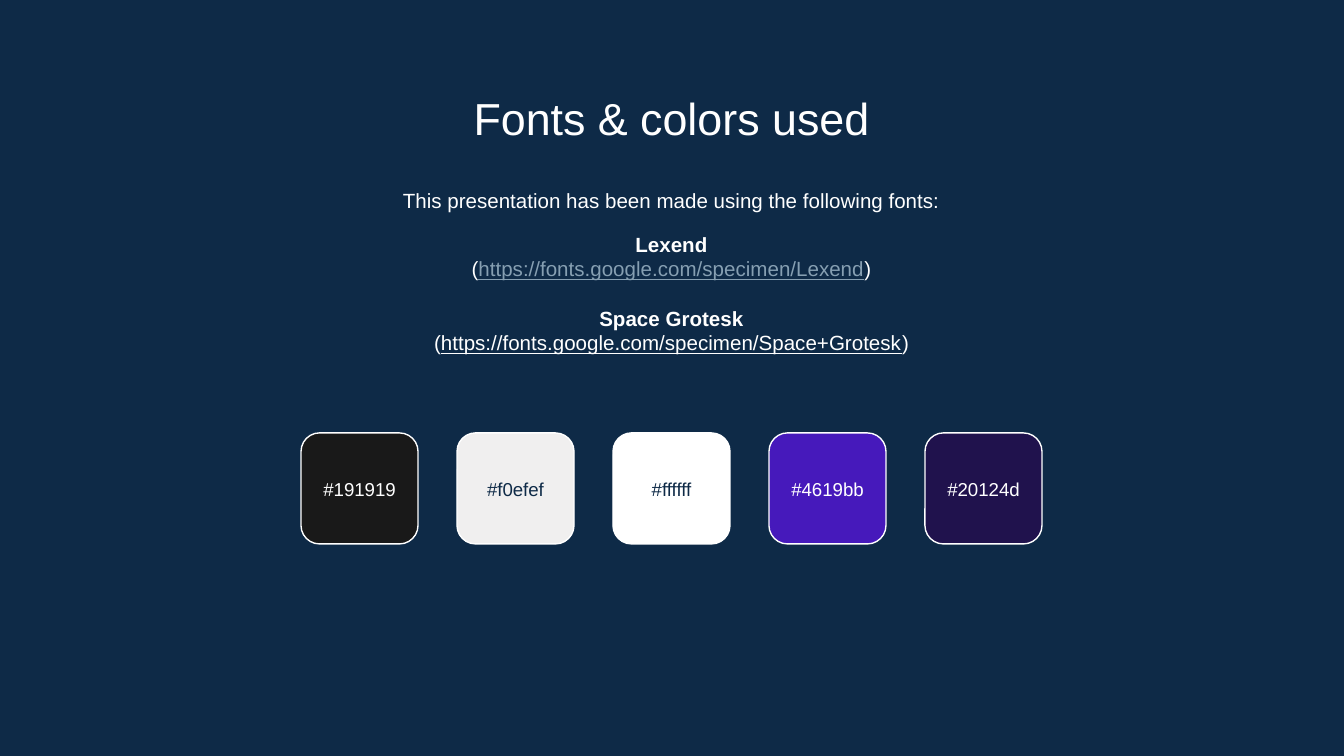
from lxml import etree
from pptx import Presentation, util as u
from pptx.dml.color import RGBColor
from pptx.enum import shapes, text
from pptx.oxml.ns import qn

HEX = {"back": "0E2A47", "white": "FFFFFF", "link": "869FB2"}
TITLE = "Fonts & colors used"
INTRO = "This presentation has been made using the following fonts:"
# name, address, address colour, space above in points
FONTS = [
    ("Lexend", "https://fonts.google.com/specimen/Lexend", "link", 10),
    ("Space Grotesk", "https://fonts.google.com/specimen/Space+Grotesk", "white", 13.2),
]
# swatch colour, label colour
SWATCHES = [
    ("#191919", "white"),
    ("#f0efef", "back"),
    ("#ffffff", "back"),
    ("#4619bb", "white"),
    ("#20124d", "white"),
]

WIDE, HIGH = 1344, 756
LEFT, SPAN = 105, 1133
CHIP_W, CHIP_H, STEP, CHIP_TOP = 117, 111, 156, 433
TAG_TOP, TAG_H = 457, 65
SCALE = u.Inches(10) / WIDE


def px(*nums):
    return [u.Emu(round(n * SCALE)) for n in nums]


def color(code):
    return RGBColor.from_string(code.lstrip("#").upper())


def place(shape, *box):
    shape.left, shape.top, shape.width, shape.height = px(*box)


def setup(frame, anchor):
    """Set equal insets, wrapping and a fixed box size."""
    frame.word_wrap = True
    frame.auto_size = text.MSO_AUTO_SIZE.NONE
    frame.vertical_anchor = anchor
    frame.margin_left = frame.margin_right = u.Inches(0.1)
    frame.margin_top = frame.margin_bottom = u.Inches(0.1)


def write(para, runs, size, line=None, above=0):
    """Add centred runs, each a tuple of words, colour key, bold and underline."""
    props = para._p.get_or_add_pPr()
    props.set("marL", "0")
    props.set("indent", "0")
    etree.SubElement(props, qn("a:buNone"))
    para.alignment = text.PP_ALIGN.CENTER
    para.space_before = u.Pt(above)
    if line:
        para.line_spacing = u.Pt(line)
    for words, tint, bold, under in runs:
        run = para.add_run()
        run.text = words
        font = run.font
        font.name, font.size = "Arial", u.Pt(size)
        font.bold, font.underline = bold, under
        font.color.rgb = color(HEX[tint])


def plain(words, tint="white"):
    return (words, tint, False, False)


deck = Presentation()
deck.slide_width, deck.slide_height = px(WIDE, HIGH)
slide = deck.slides.add_slide(deck.slide_layouts[1])
fill = slide.background.fill
fill.solid()
fill.fore_color.rgb = color(HEX["back"])

title, body = slide.placeholders
place(title, LEFT, 75, SPAN, 71)
setup(title.text_frame, text.MSO_ANCHOR.TOP)
write(title.text_frame.paragraphs[0], [plain(TITLE)], 24, 30)

place(body, LEFT, 175, SPAN, 210)
frame = body.text_frame
setup(frame, text.MSO_ANCHOR.TOP)
write(frame.paragraphs[0], [plain(INTRO)], 11, 13.2)
for name, link, tint, above in FONTS:
    write(frame.add_paragraph(), [(name, "white", True, False)], 11, 13.2, above)
    runs = [plain("("), (link, tint, False, True), plain(")")]
    write(frame.add_paragraph(), runs, 11, 13.2)

start = (WIDE - CHIP_W - STEP * (len(SWATCHES) - 1)) // 2
for i, (code, tint) in enumerate(SWATCHES):
    left = start + i * STEP
    chip = slide.shapes.add_shape(
        shapes.MSO_SHAPE.ROUNDED_RECTANGLE, *px(left, CHIP_TOP, CHIP_W, CHIP_H))
    chip.shadow.inherit = False
    chip.fill.solid()
    chip.fill.fore_color.rgb = color(code)
    chip.line.color.rgb = color(HEX["white"])
    chip.line.width = u.Pt(0.75)
    tag = slide.shapes.add_textbox(*px(left, TAG_TOP, CHIP_W, TAG_H)).text_frame
    setup(tag, text.MSO_ANCHOR.MIDDLE)
    write(tag.paragraphs[0], [plain(code, tint)], 10)

deck.save("out.pptx")
